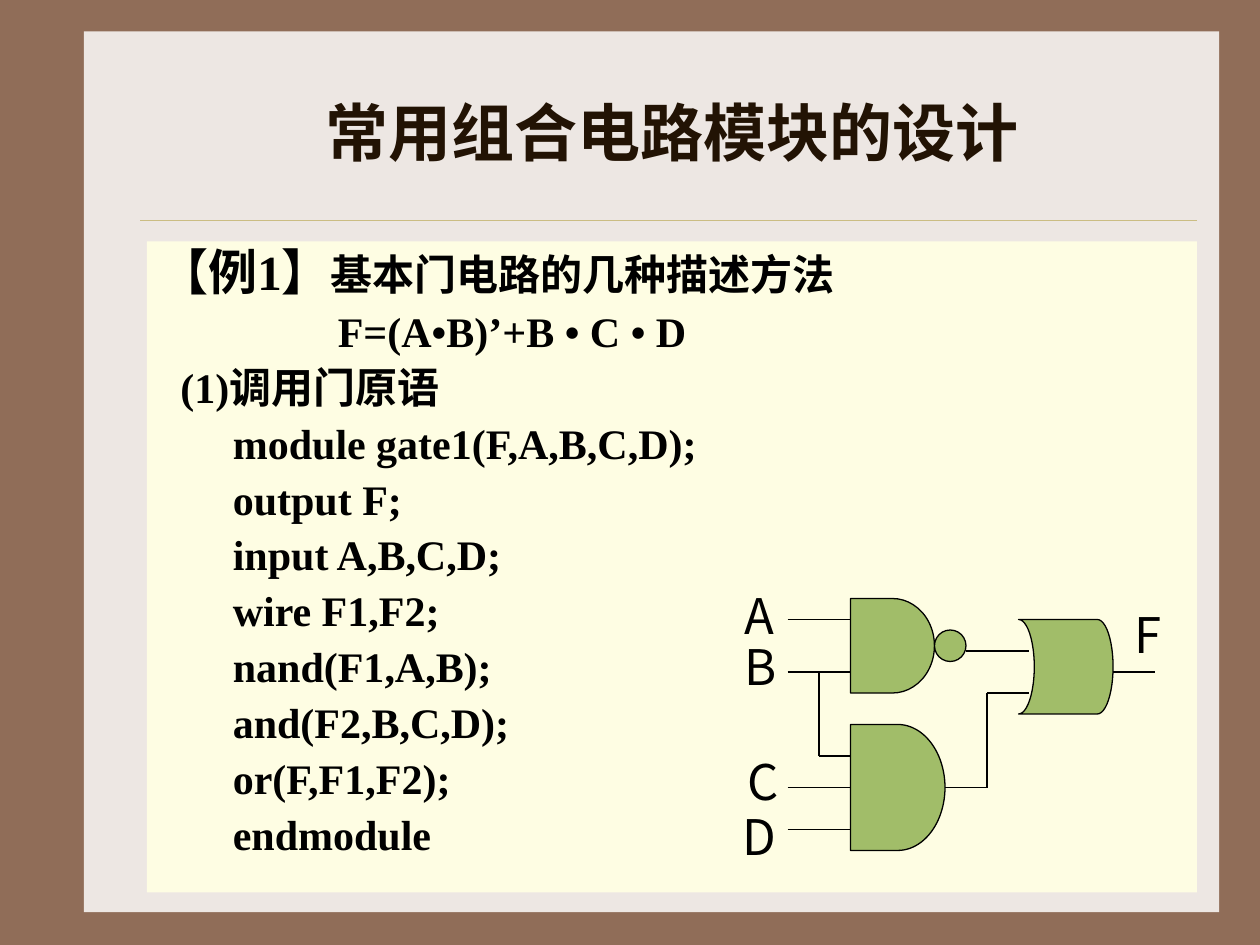
from typing import NamedTuple, Optional

from lxml.etree import SubElement
from pptx import Presentation
from pptx.dml.color import RGBColor
from pptx.enum.shapes import MSO_CONNECTOR, MSO_SHAPE
from pptx.enum.text import MSO_ANCHOR, PP_ALIGN
from pptx.oxml.ns import qn
from pptx.util import Emu, Pt

BROWN = RGBColor(0x90, 0x6D, 0x58)
PANEL = RGBColor(0xED, 0xE7, 0xE3)
RULE = RGBColor(0xCB, 0xBD, 0x83)
TITLE = RGBColor(0x22, 0x13, 0x04)
CREAM = RGBColor(0xFE, 0xFD, 0xE3)
GREEN = RGBColor(0xA1, 0xBD, 0x69)
BLACK = RGBColor(0, 0, 0)
SERIF = "Times New Roman"
SANS = "Noto Sans CJK SC"


class Gate(NamedTuple):
    name: str
    kind: MSO_SHAPE
    x: int
    y: int
    w: int
    h: int
    rotation: int = 0


class Wire(NamedTuple):
    x1: int
    y1: int
    x2: int
    y2: int
    source: Optional[str] = None
    target: Optional[str] = None


class Label(NamedTuple):
    text: str
    x: int
    y: int
    w: int


class Line(NamedTuple):
    text: str
    indent: int = 0


GATES = [
    Gate("nand", MSO_SHAPE.FLOWCHART_DELAY, 648, 456, 64, 72),
    Gate("and", MSO_SHAPE.FLOWCHART_DELAY, 648, 552, 72, 96),
    Gate("or", MSO_SHAPE.FLOWCHART_STORED_DATA, 776, 472, 72, 72, 180),
    Gate("bubble", MSO_SHAPE.OVAL, 712, 480, 24, 24),
]
WIRES = [
    Wire(736, 496, 784, 496),
    Wire(720, 600, 752, 600, source="and"),
    Wire(752, 600, 752, 528),
    Wire(752, 528, 784, 528),
    Wire(848, 512, 880, 512),
    Wire(600, 472, 648, 472),
    Wire(600, 512, 648, 512),
    Wire(600, 632, 648, 632),
    Wire(600, 600, 648, 600, target="and"),
    Wire(624, 576, 648, 576),
    Wire(624, 576, 624, 512),
]
LABELS = [
    Label("A", 558, 441, 43),
    Label("B", 558, 480, 43),
    Label("C", 560, 568, 42),
    Label("D", 556, 610, 46),
    Label("F", 855, 456, 38),
]
CODE = [
    "module gate1(F,A,B,C,D);",
    "output F;",
    "input A,B,C,D;",
    "wire F1,F2;",
    "nand(F1,A,B);",
    "and(F2,B,C,D);",
    "or(F,F1,F2);",
    "endmodule",
]
LINES = [
    Line("F=(A•B)’+B • C • D", 136),
    Line("(1)调用门原语", 16),
    *(Line(" " * 7 + code) for code in CODE),
]


def px(n: int) -> Emu:
    return Emu(n * 9525)


def set_font(font, name: str, size: int, color: RGBColor, bold: bool) -> None:
    font.name, font.size, font.bold = name, Pt(size), bold
    font.color.rgb = color


def add_box(shapes, kind, x: int, y: int, w: int, h: int, fill: RGBColor):
    sp = shapes.add_shape(kind, px(x), px(y), px(w), px(h))
    sp.shadow.inherit = False
    sp.fill.solid()
    sp.fill.fore_color.rgb = fill
    sp.line.fill.background()
    return sp


def add_line(shapes, wire: Wire, color: RGBColor, width: float):
    ends = (px(n) for n in wire[:4])
    cxn = shapes.add_connector(MSO_CONNECTOR.STRAIGHT, *ends)
    cxn.line.color.rgb = color
    cxn.line.width = Pt(width)
    SubElement(cxn._element.spPr, qn("a:effectLst"))
    return cxn


def add_title(s, text: str) -> None:
    sp = s.shapes.title
    sp.left, sp.top, sp.width, sp.height = px(112), px(40), px(800), px(120)
    tf = sp.text_frame
    tf.vertical_anchor = MSO_ANCHOR.MIDDLE
    p = tf.paragraphs[0]
    p.text = text
    p.alignment = PP_ALIGN.CENTER
    set_font(p.font, SERIF, 36, TITLE, True)


def add_body(s) -> None:
    sp = add_box(s.shapes, MSO_SHAPE.RECTANGLE, 112, 184, 800, 496, CREAM)
    tf = sp.text_frame
    tf.word_wrap = True
    tf.vertical_anchor = MSO_ANCHOR.TOP
    p = tf.paragraphs[0]
    p.alignment = PP_ALIGN.LEFT
    p.line_spacing = 0.9
    for text, size in (("【例1】", 28), ("基本门电路的几种描述方法", 24)):
        r = p.add_run()
        r.text = text
        set_font(r.font, SERIF, size, BLACK, True)
    for line in LINES:
        p = tf.add_paragraph()
        p.text = line.text
        p.alignment = PP_ALIGN.LEFT
        p.line_spacing = 0.9
        p.space_before = Pt(6)
        p._p.get_or_add_pPr().set("marL", str(px(line.indent)))
        set_font(p.font, SERIF, 24, BLACK, True)


def add_label(shapes, label: Label) -> None:
    sp = shapes.add_textbox(px(label.x), px(label.y), px(label.w), px(55))
    tf = sp.text_frame
    tf.word_wrap = False
    p = tf.paragraphs[0]
    p.text = label.text
    set_font(p.font, SANS, 28, BLACK, False)


def add_circuit(s) -> None:
    shapes = s.shapes.add_group_shape().shapes
    gates = {}
    for gate in GATES:
        sp = add_box(shapes, gate.kind, gate.x, gate.y, gate.w, gate.h, GREEN)
        sp.line.color.rgb = BLACK
        sp.line.width = Pt(0.75)
        sp.rotation = gate.rotation
        gates[gate.name] = sp
    for wire in WIRES:
        cxn = add_line(shapes, wire, BLACK, 0.75)
        if wire.source:
            cxn.begin_connect(gates[wire.source], 3)
        if wire.target:
            cxn.end_connect(gates[wire.target], 1)
    for label in LABELS:
        add_label(shapes, label)


def main() -> None:
    prs = Presentation()
    prs.slide_width, prs.slide_height = px(960), px(720)
    s = prs.slides.add_slide(prs.slide_layouts[5])
    s.background.fill.solid()
    s.background.fill.fore_color.rgb = BROWN
    panel = add_box(s.shapes, MSO_SHAPE.RECTANGLE, 64, 24, 865, 671, PANEL)
    s.shapes.title._element.addprevious(panel._element)
    add_line(s.shapes, Wire(107, 168, 912, 168), RULE, 0.25)
    add_title(s, "常用组合电路模块的设计")
    add_body(s)
    add_circuit(s)
    prs.save("out.pptx")


if __name__ == "__main__":
    main()
